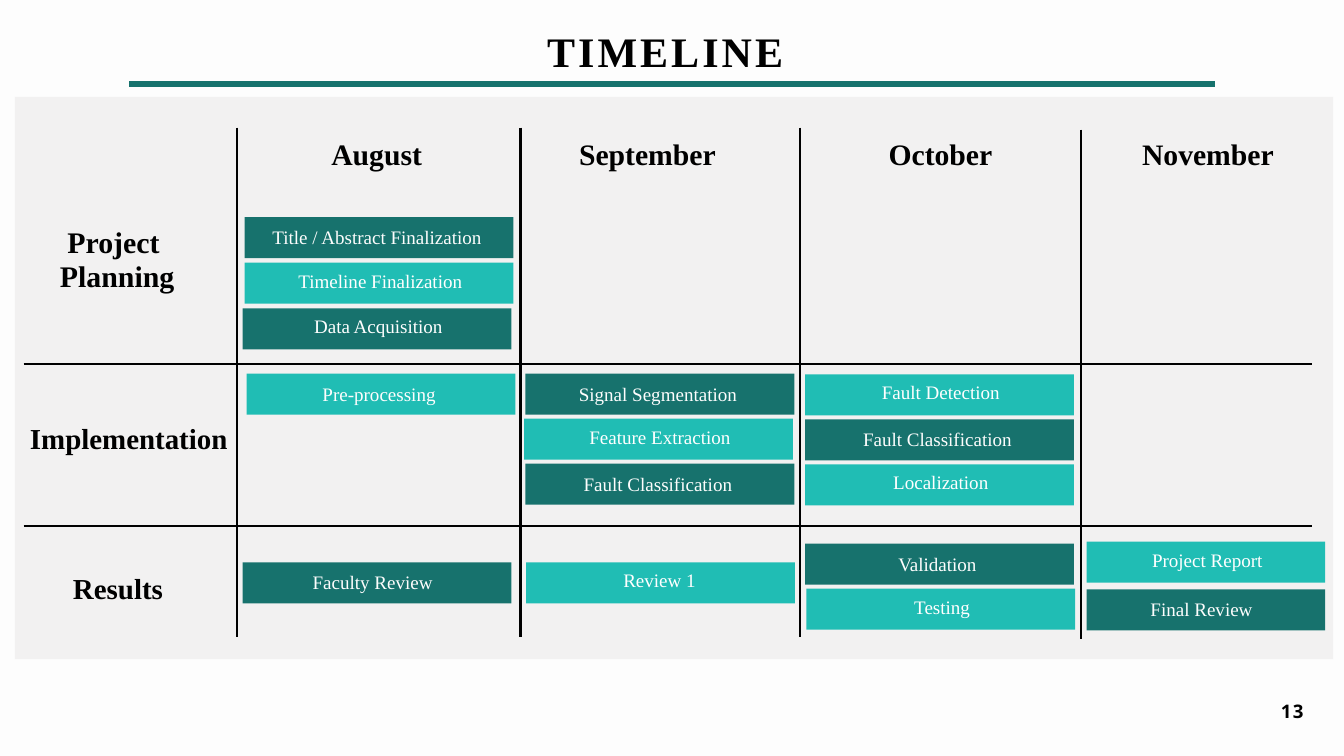
from collections import namedtuple

from lxml import etree
from pptx import Presentation
from pptx import util as u
from pptx.dml.color import RGBColor
from pptx.enum import shapes, text
from pptx.oxml.ns import qn

BACKGROUND = RGBColor(0xFD, 0xFD, 0xFD)
PANEL = RGBColor(0xF2, 0xF1, 0xF1)
DARK = RGBColor(0x17, 0x72, 0x6D)
LIGHT = RGBColor(0x20, 0xBD, 0xB4)
BLACK = RGBColor(0, 0, 0)
WHITE = RGBColor(0xFF, 0xFF, 0xFF)

SERIF = "Times New Roman"
WIDTH, HEIGHT = 20, 11.25
COLUMN_LINES = [(3.53, 1.9, 2.25), (7.75, 1.9, 3), (11.91, 1.9, 2.25), (16.09, 1.93, 2.25)]
LINE_LENGTH = 7.58
ROW_LINES = [5.42, 7.83]
BAR_LEFTS = [3.64, 7.82, 11.98, 16.17]
BAR_WIDTHS = [4, 4, 4, 3.55]
BAR_HEIGHT = 0.61

Inset = namedtuple("Inset", "left top reduction color")
NARROW = Inset(0.2, 0.07, 0.46, BACKGROUND)
WIDE = Inset(0.05, 0.04, 0.06, WHITE)

Task = namedtuple("Task", "label fill inset nudge", defaults=[0])
STACKS = [
    (0, 3.23, 0.68, [
        Task("Title / Abstract Finalization", DARK, NARROW),
        Task("Timeline Finalization", LIGHT, WIDE),
        Task("Data Acquisition", DARK, WIDE, -0.03)]),
    (0, 5.56, 0.67, [Task("Pre-processing", LIGHT, NARROW, 0.03)]),
    (0, 8.37, 0.67, [Task("Faculty Review ", DARK, NARROW, -0.03)]),
    (1, 5.56, 0.67, [
        Task("Signal Segmentation", DARK, NARROW),
        Task("Feature Extraction", LIGHT, WIDE, -0.02),
        Task("Fault Classification", DARK, NARROW)]),
    (1, 8.37, 0.67, [Task("Review 1 ", LIGHT, WIDE, 0.01)]),
    (2, 5.57, 0.67, [
        Task("Fault Detection", LIGHT, WIDE),
        Task("Fault Classification", DARK, NARROW),
        Task("Localization", LIGHT, WIDE)]),
    (2, 8.09, 0.67, [
        Task("Validation", DARK, NARROW),
        Task("Testing", LIGHT, WIDE, 0.02)]),
    (3, 8.06, 0.71, [
        Task("Project Report", LIGHT, WIDE),
        Task("Final Review ", DARK, NARROW)]),
]

MONTHS = [("August", 4.06), ("September", 8.09), ("October", 12.45), ("November", 16.43)]
PHASES = [
    (["Project ", "Planning"], (0.19, 3.35, 3.11, 1.1), 32, 36.8),
    (["Implementation"], (0.43, 6.28, 2.97, 0.5), 31, 35.6),
    (["Results"], (0.53, 8.51, 2.45, 0.56), 31, 35.6),
]


def inches(lengths):
    return [u.Inches(length) for length in lengths]


def add_rectangle(container, box, fill):
    shape = container.add_shape(shapes.MSO_SHAPE.RECTANGLE, *inches(box))
    shape.shadow.inherit = False
    shape.fill.solid()
    shape.fill.fore_color.rgb = fill
    shape.line.fill.background()


def add_line(slide, start, end, color, width):
    line = slide.shapes.add_connector(
        shapes.MSO_CONNECTOR.STRAIGHT, *inches(start + end))
    line.line.color.rgb = color
    line.line.width = u.Pt(width)
    etree.SubElement(line._element.spPr, qn("a:effectLst"))


def add_text(container, box, lines, size, spacing, color=BLACK, bold=True,
             font=SERIF, align=text.PP_ALIGN.CENTER, tracking=0):
    frame = container.add_textbox(*inches(box)).text_frame
    frame.word_wrap = True
    frame.auto_size = text.MSO_AUTO_SIZE.SHAPE_TO_FIT_TEXT
    frame.margin_left = frame.margin_top = frame.margin_right = frame.margin_bottom = 0
    for index, line in enumerate(lines):
        paragraph = frame.add_paragraph() if index else frame.paragraphs[0]
        paragraph.alignment = align
        paragraph.line_spacing = u.Pt(spacing)
        run = paragraph.add_run()
        run.text = line
        run.font.name = font
        run.font.size = u.Pt(size)
        run.font.bold = bold
        run.font.color.rgb = color
        if tracking:
            run.font._element.set("spc", str(round(tracking * 100)))


def add_task(slide, task, left, top, width):
    group = slide.shapes.add_group_shape().shapes
    inset = task.inset
    add_rectangle(group, (left, top, width, BAR_HEIGHT), task.fill)
    add_text(group, (left + inset.left, top + inset.top, width - inset.reduction, 0.41),
             [task.label], 20.4, 28.5, inset.color, bold=False)


def add_grid(slide):
    for x, top, width in COLUMN_LINES:
        add_line(slide, (x, top), (x, top + LINE_LENGTH), BLACK, width)
    for y in ROW_LINES:
        add_line(slide, (0.35, y), (19.52, y), BLACK, 2.25)


def add_stack(slide, column, top, pitch, tasks):
    for index, task in enumerate(tasks):
        add_task(slide, task, BAR_LEFTS[column] + task.nudge,
                 top + index * pitch, BAR_WIDTHS[column])


def main():
    presentation = Presentation()
    presentation.slide_width = u.Inches(WIDTH)
    presentation.slide_height = u.Inches(HEIGHT)
    slide = presentation.slides.add_slide(presentation.slide_layouts[6])
    slide.background.fill.solid()
    slide.background.fill.fore_color.rgb = BACKGROUND

    add_rectangle(slide.shapes, (0.22, 1.44, 19.62, 8.37), PANEL)
    add_line(slide, (1.92, 1.25), (WIDTH - 1.92, 1.25), DARK, 6)
    add_grid(slide)
    for stack in STACKS:
        add_stack(slide, *stack)

    add_text(slide.shapes, (0, 0.25, WIDTH, 0.93), ["TIMELINE "], 45, 63, tracking=3.3)
    for lines, box, size, spacing in PHASES:
        add_text(slide.shapes, box, lines, size, spacing)
    for month, left in MONTHS:
        add_text(slide.shapes, (left, 2.04, 3.09, 0.57), [month], 31.8, 36.5)
    add_text(slide.shapes, (19.04, 10.32, 0.36, 0.4), ["13"], 20, 31,
             font="Open Sans", align=text.PP_ALIGN.RIGHT, tracking=1.5)
    presentation.save("out.pptx")


if __name__ == "__main__":
    main()
